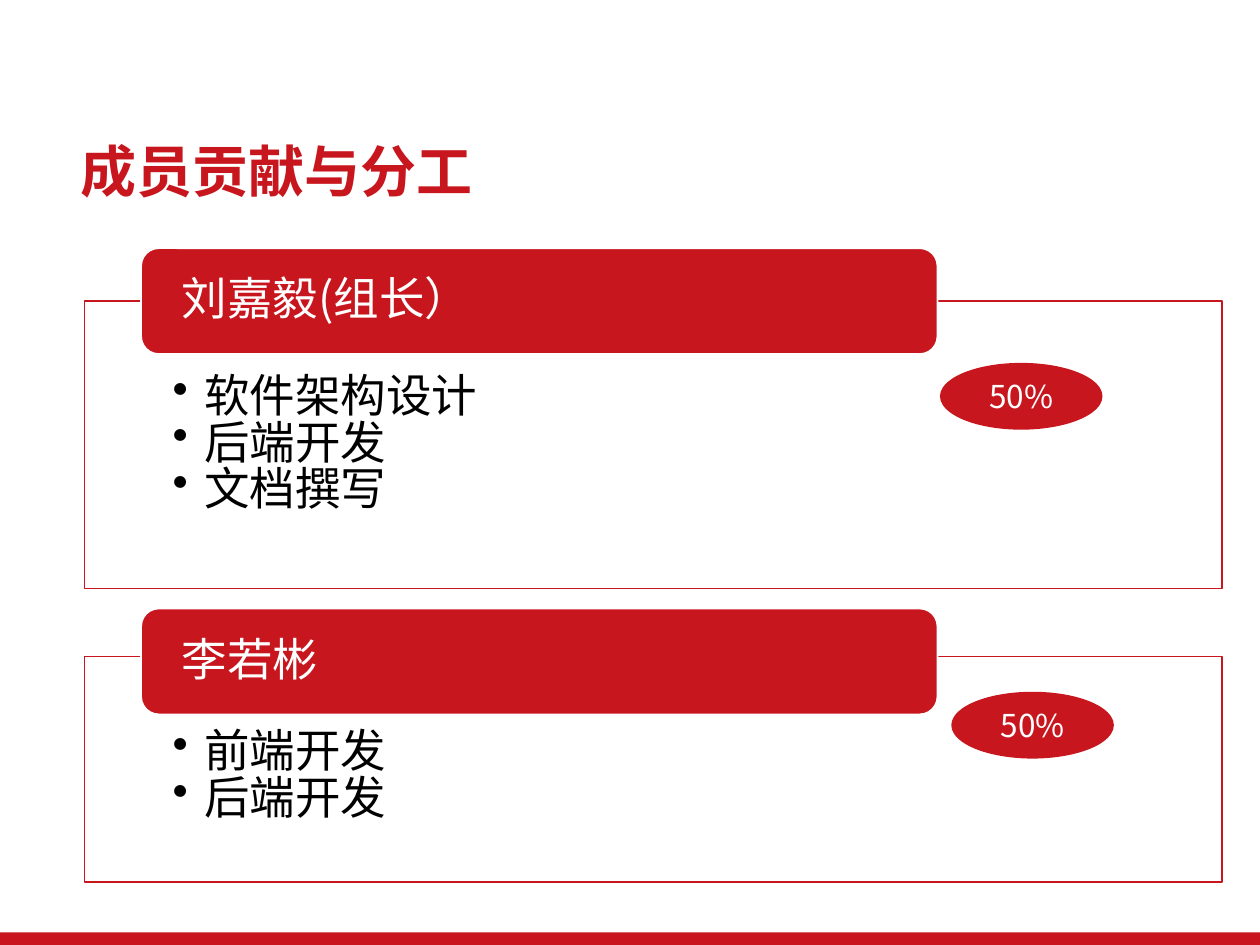
"""Build the slide on members' contributions and division of work."""
import pptx
import pptx.dml.color
import pptx.enum.shapes
import pptx.enum.text
import pptx.oxml.ns
import pptx.util
from lxml import etree

RED = pptx.dml.color.RGBColor(0xC8, 0x16, 0x1E)
BAR_RED = pptx.dml.color.RGBColor(0xC9, 0x15, 0x1E)
WHITE = pptx.dml.color.RGBColor(0xFF, 0xFF, 0xFF)
BLACK = pptx.dml.color.RGBColor(0, 0, 0)
FONT = "Noto Sans CJK SC"
WIDTH, HEIGHT = pptx.util.Inches(10), pptx.util.Inches(7.5)
SHAPE = pptx.enum.shapes.MSO_SHAPE
ALIGN = pptx.enum.text.PP_ALIGN
ANCHOR = pptx.enum.text.MSO_ANCHOR

PANEL_X, PANEL_W = 6.7, 90.3
HEADER_X, HEADER_W, HEADER_H = 11.2, 63.2, 11.2
BADGE_W, BADGE_H = 12.9, 7.07
MEMBERS = [
    ("刘嘉毅(组长）", ["软件架构设计", "后端开发", "文档撰写"],
     (31.87, 30.4), 26.27, (74.6, 38.4)),
    ("李若彬", ["前端开发", "后端开发"],
     (69.47, 23.87), 64.4, (75.5, 73.2)),
]


def place(x, y, w, h):
    return [int(WIDTH * x / 100), int(HEIGHT * y / 100),
            int(WIDTH * w / 100), int(HEIGHT * h / 100)]


def add_box(slide, kind, box, fill, line=None):
    sp = slide.shapes.add_shape(kind, *place(*box))
    sp.shadow.inherit = False
    sp.fill.solid()
    sp.fill.fore_color.rgb = fill
    if line is None:
        sp.line.fill.background()
    else:
        sp.line.color.rgb = line
        sp.line.width = pptx.util.Pt(1)
    return sp


def set_text(sp, lines, size, color, anchor=ANCHOR.MIDDLE, align=ALIGN.LEFT,
             spacing=0.9, bold=False, insets=(0.1, 0.05, 0.1, 0.05)):
    tf = sp.text_frame
    tf.word_wrap = True
    tf.vertical_anchor = anchor
    tf.margin_left, tf.margin_top, tf.margin_right, tf.margin_bottom = map(
        pptx.util.Inches, insets)
    tf.text = "\n".join(lines)
    for p in tf.paragraphs:
        p.alignment = align
        p.line_spacing = spacing
        for r in p.runs:
            r.font.size = pptx.util.Pt(size)
            r.font.bold = bold
            r.font.name = FONT
            r.font.color.rgb = color
            ea = etree.SubElement(r.font._element, pptx.oxml.ns.qn("a:ea"))
            ea.set("typeface", FONT)


def add_bullets(sp):
    indent = pptx.util.Inches(0.25)
    for p in sp.text_frame.paragraphs:
        pPr = p._p.get_or_add_pPr()
        pPr.set("marL", str(indent))
        pPr.set("indent", str(-indent))
        bullet = etree.SubElement(pPr, pptx.oxml.ns.qn("a:buChar"))
        bullet.set("char", "•")


def set_opacity(sp, percent):
    color = sp.fill._xPr.find(".//" + pptx.oxml.ns.qn("a:srgbClr"))
    alpha = etree.SubElement(color, pptx.oxml.ns.qn("a:alpha"))
    alpha.set("val", str(percent * 1000))


def add_title(slide, text):
    sp = slide.shapes.add_textbox(*place(5.4, 14.27, 91.6, 8.4))
    set_text(sp, [text], 32, RED, bold=True)


def add_panel(slide, tasks, top, height):
    sp = add_box(slide, SHAPE.RECTANGLE, (PANEL_X, top, PANEL_W, height),
                 WHITE, RED)
    set_opacity(sp, 90)
    set_text(sp, tasks, 26, BLACK, anchor=ANCHOR.TOP, spacing=0.85,
             insets=(0.7, 0.59, 0.7, 0.2))
    add_bullets(sp)


def add_header(slide, name, top):
    sp = add_box(slide, SHAPE.ROUNDED_RECTANGLE,
                 (HEADER_X, top, HEADER_W, HEADER_H), RED, WHITE)
    set_text(sp, [name], 26, WHITE, insets=(0.28, 0, 0.28, 0))


def add_badge(slide, share, x, y):
    sp = add_box(slide, SHAPE.OVAL, (x, y, BADGE_W, BADGE_H), RED)
    set_text(sp, [share], 18, WHITE, align=ALIGN.CENTER, spacing=1.0)


def main():
    prs = pptx.Presentation()
    prs.slide_width, prs.slide_height = WIDTH, HEIGHT
    slide = prs.slides.add_slide(prs.slide_layouts[6])
    add_box(slide, SHAPE.RECTANGLE, (0, 98.67, 100, 1.33), BAR_RED)
    add_title(slide, "成员贡献与分工")
    for name, tasks, panel, header_top, _ in MEMBERS:
        add_panel(slide, tasks, *panel)
        add_header(slide, name, header_top)
    for *_, badge in MEMBERS:
        add_badge(slide, "50%", *badge)
    prs.save("out.pptx")


if __name__ == "__main__":
    main()
